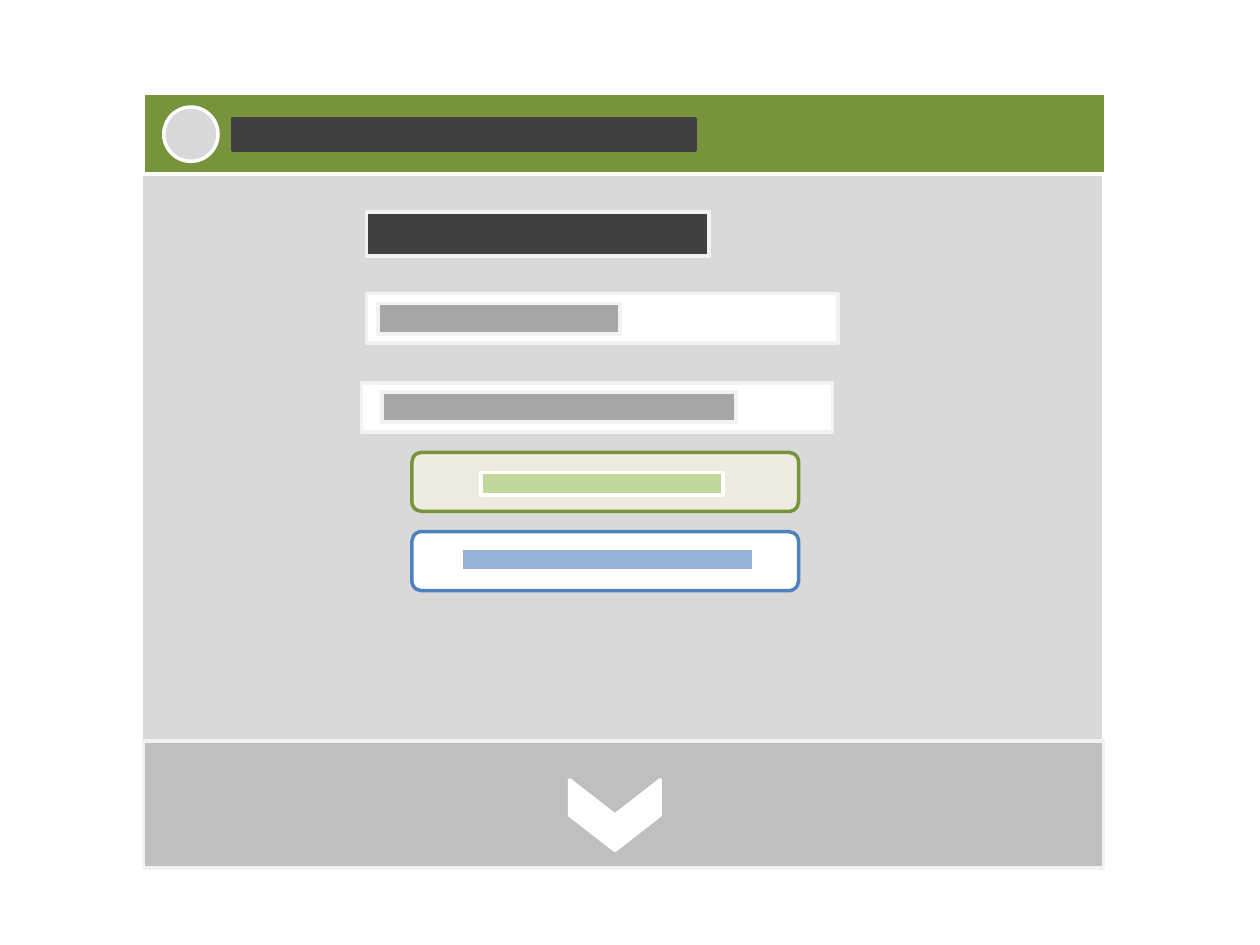
from pptx import Presentation
from pptx.dml.color import RGBColor
from pptx.enum.shapes import MSO_SHAPE as Shape
from pptx.util import Pt

WHITE, PALE, LIGHT, DARK = "FFFFFF", "F2F2F2", "D9D9D9", "404040"
GREEN, BLUE = "77933C", "4F81BD"


def color(value):
    return RGBColor.from_string(value)


def add_block(kind, left, top, width, height, fill, line):
    block = page.shapes.add_shape(kind, Pt(left), Pt(top), Pt(width), Pt(height))
    block.shadow.inherit = False
    block.fill.solid()
    block.fill.fore_color.rgb = color(fill)
    block.line.color.rgb = color(line)
    block.line.width = Pt(2)
    return block


deck = Presentation()
deck.slide_width, deck.slide_height = Pt(720), Pt(540)
page = deck.slides.add_slide(deck.slide_layouts[6])

# Screen and form heading
add_block(Shape.RECTANGLE, 80.6, 53.3, 550.1, 442.1, LIGHT, WHITE)
add_block(Shape.RECTANGLE, 209.5, 121, 195.8, 25.2, DARK, PALE)

# Input fields: field left and top, hint left, top and width
fields = [
    (209.5, 167.8, 216, 173.5, 138.2),
    (206.6, 218.9, 218.2, 223.9, 202.3),
]
for left, top, hint_left, hint_top, hint_width in fields:
    add_block(Shape.RECTANGLE, left, top, 269.3, 28.1, WHITE, PALE)
    add_block(Shape.RECTANGLE, hint_left, hint_top, hint_width, 17.3, "A6A6A6", PALE)

# Buttons: top, fill, outline, then label left, top, width and fill
buttons = [
    (258.5, "EEECE1", GREEN, 275, 270, 138.2, "C3D69B"),
    (303.8, WHITE, BLUE, 263.5, 313.2, 167, "95B3D7"),
]
for top, fill, line, label_left, label_top, label_width, label_fill in buttons:
    add_block(Shape.ROUNDED_RECTANGLE, 235.4, top, 221, 33.8, fill, line)
    add_block(Shape.RECTANGLE, label_left, label_top, label_width, 13, label_fill, WHITE)

# Footer with a downward chevron
add_block(Shape.RECTANGLE, 82.1, 423.4, 548.6, 72.7, "BFBFBF", PALE)
chevron = add_block(Shape.CHEVRON, 331.2, 439.9, 40.3, 51.8, WHITE, WHITE)
chevron.rotation = 90

# Header with avatar and title bar
add_block(Shape.RECTANGLE, 82.1, 53.3, 550.1, 46.1, GREEN, WHITE)
add_block(Shape.OVAL, 93.6, 61.2, 31, 31, LIGHT, WHITE)
add_block(Shape.RECTANGLE, 133.2, 67.7, 264.2, 18, DARK, DARK)

deck.save("out.pptx")
